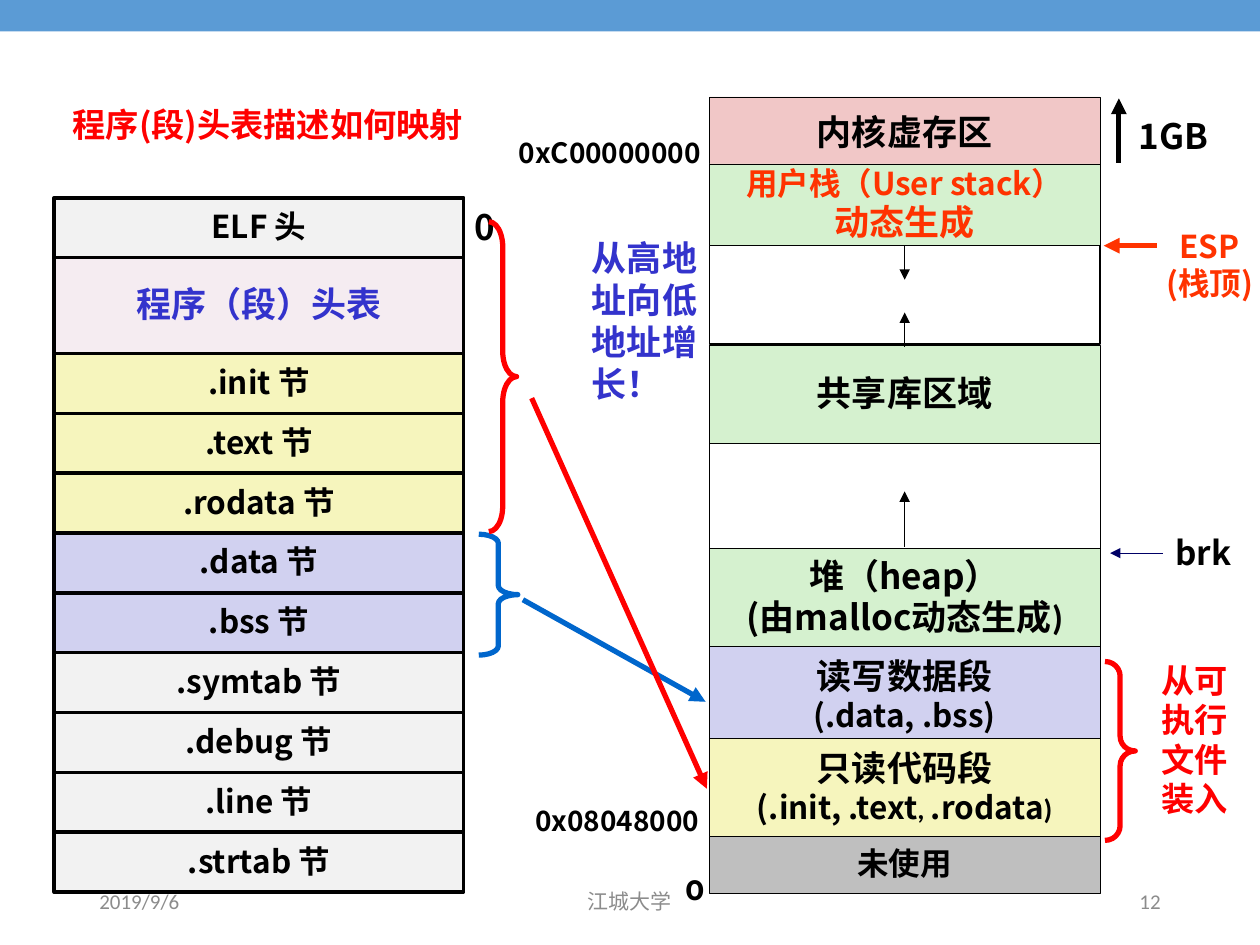
from lxml import etree
from pptx import Presentation
from pptx.dml.color import RGBColor
from pptx.enum.shapes import MSO_CONNECTOR, MSO_SHAPE
from pptx.enum.text import MSO_ANCHOR, PP_ALIGN
from pptx.oxml.ns import qn
from pptx.util import Inches, Pt

LEFT, CENTER, RIGHT = PP_ALIGN.LEFT, PP_ALIGN.CENTER, PP_ALIGN.RIGHT
TOP, MIDDLE = MSO_ANCHOR.TOP, MSO_ANCHOR.MIDDLE
RECTANGLE, BRACE = MSO_SHAPE.RECTANGLE, MSO_SHAPE.RIGHT_BRACE

BLACK = RGBColor(0x00, 0x00, 0x00)
WHITE = RGBColor(0xFF, 0xFF, 0xFF)
RED = RGBColor(0xFF, 0x00, 0x00)
ORANGE = RGBColor(0xFF, 0x33, 0x00)
INDIGO = RGBColor(0x33, 0x33, 0xCC)
BLUE = RGBColor(0x00, 0x66, 0xCC)
NAVY = RGBColor(0x00, 0x00, 0x66)
BANNER = RGBColor(0x5B, 0x9B, 0xD5)
GRAY = RGBColor(0x8C, 0x8C, 0x8C)
SILVER = RGBColor(0xBF, 0xBF, 0xBF)
PALE = RGBColor(0xF2, 0xF2, 0xF2)
PLUM = RGBColor(0x99, 0x33, 0x66)
PINK = RGBColor(0xF1, 0xC7, 0xC7)
GREEN = RGBColor(0xD5, 0xF1, 0xCF)
LILAC = RGBColor(0xD1, 0xD1, 0xF0)
YELLOW = RGBColor(0xF6, 0xF5, 0xBD)

NOTO, CALIBRI, MONTSERRAT = "Noto Sans CJK SC", "Calibri", "Montserrat"
HAIR = 0.26

# A line of text is (runs, size, font, colour); runs is a string
# or a list of (text, size, font).
# ELF file: text, rows, fill, size, colour
SECTIONS = [
    ("ELF 头", 1, PALE, 18, BLACK),
    ("程序（段）头表", 1.6, PLUM, 20, INDIGO),
    (".init 节", 1, YELLOW, 18, BLACK),
    (".text 节", 1, YELLOW, 18, BLACK),
    (".rodata 节", 1, YELLOW, 18, BLACK),
    (".data 节", 1, LILAC, 18, BLACK),
    (".bss 节", 1, LILAC, 18, BLACK),
    (".symtab 节", 1, PALE, 18, BLACK),
    (".debug 节", 1, PALE, 18, BLACK),
    (".line 节", 1, PALE, 18, BLACK),
    (".strtab 节", 1, PALE, 18, BLACK),
]
FILE_LEFT, FILE_TOP, FILE_WIDTH, ROW = 0.43, 1.57, 3.25, 0.475

# Memory areas: top, height, fill, line width, lines of text
MEMORY_LEFT, MEMORY_WIDTH = 5.63, 3.1
READ_ONLY = [("(.init, .text", 18, NOTO), (", ", 16, CALIBRI),
             (".rodata", 18, NOTO), (")", 16, CALIBRI)]
HEAP = [("(由malloc动态生成", 20, NOTO), (")", 20, CALIBRI)]
AREAS = [
    (0.77, 0.57, PINK, HAIR, [("内核虚存区", 20, NOTO, BLACK)]),
    (1.94, 0.79, WHITE, 0.75, []),
    (1.30, 0.65, GREEN, HAIR, [("用户栈（User stack）", 18, NOTO, ORANGE),
                               ("动态生成", 20, CALIBRI, ORANGE)]),
    (2.74, 0.78, GREEN, HAIR, [("共享库区域", 20, NOTO, BLACK)]),
    (3.52, 0.84, WHITE, HAIR, []),
    (4.35, 0.78, GREEN, HAIR, [("堆（heap）", 20, NOTO, BLACK),
                               (HEAP, 20, NOTO, BLACK)]),
    (6.63, 0.46, SILVER, HAIR, [("未使用", 18, NOTO, BLACK)]),
    (5.13, 0.78, LILAC, HAIR, [("读写数据段", 20, NOTO, BLACK),
                               ("(.data, .bss)", 18, NOTO, BLACK)]),
    (5.86, 0.78, YELLOW, HAIR, [("只读代码段", 20, NOTO, BLACK),
                                (READ_ONLY, 18, NOTO, BLACK)]),
]

# Footer: left, width, text, alignment
FOOTER = [
    (0.69, 2.25, "2019/9/6", LEFT),
    (3.31, 3.38, "江城大学", CENTER),
    (7.06, 2.25, "12", RIGHT),
]

# Labels: box, lines, line spacing, wrap, alignment, side inset
LABELS = [
    ((3.67, 1.60, 0.35, 0.43), [("0", 20, NOTO, BLACK)], 0.98, True, LEFT, 0.1),
    ((9.20, 1.77, 0.80, 0.68), [("ESP", 18, NOTO, ORANGE),
                                ("(栈顶)", 18, NOTO, ORANGE)], 0.98, True, CENTER, 0),
    ((9.23, 4.20, 0.64, 0.40), [("brk", 19, NOTO, BLACK)], 0.94, False, LEFT, 0.1),
    ((4.02, 1.05, 1.71, 0.35), [("0xC00000000", 16, NOTO, BLACK)], 0.94, False, LEFT, 0.1),
    ((4.15, 6.35, 1.56, 0.35), [("0x08048000", 16, NOTO, BLACK)], 0.94, False, LEFT, 0.1),
    ((5.34, 6.89, 0.35, 0.36), [("0", 16, MONTSERRAT, BLACK)], 0.98, False, LEFT, 0.1),
    ((9.12, 5.21, 0.82, 1.34), [("从可执行文件装入", 19, CALIBRI, RED)], 0.98, True, LEFT, 0.1),
    ((0.48, 0.78, 3.57, 0.42), [("程序(段)头表描述如何映射", 19, NOTO, RED)], 1, True, LEFT, 0.1),
    ((8.94, 0.86, 0.92, 0.43), [("1GB", 20, NOTO, BLACK)], 1, True, LEFT, 0.1),
    ((4.60, 1.83, 1.06, 1.45), [("从高地址向低地址增长！", 20, NOTO, INDIGO)], 1, True, LEFT, 0.1),
]

# Arrows: from, to, colour, width
ARROWS = [
    ((9.18, 1.95), (8.76, 1.95), ORANGE, 3),
    ((8.88, 1.29), (8.88, 0.78), BLACK, 3),
    ((9.23, 4.39), (8.81, 4.39), NAVY, HAIR),
    ((7.18, 4.34), (7.18, 3.90), BLACK, HAIR),
    ((7.18, 2.75), (7.18, 2.48), BLACK, HAIR),
    ((7.18, 1.95), (7.18, 2.22), BLACK, HAIR),
    ((4.15, 4.76), (5.60, 5.57), BLUE, 3),
    ((4.22, 3.16), (5.61, 6.26), RED, 3),
]

# Braces: box, curvature, colour
BRACES = [
    ((8.77, 5.25, 0.24, 1.42), 0.486, RED),
    ((3.80, 4.24, 0.31, 0.96), 0.234, BLUE),
    ((3.88, 1.76, 0.22, 2.46), 0.915, RED),
]

presentation = Presentation()
presentation.slide_width, presentation.slide_height = Inches(10), Inches(7.5)
slide = presentation.slides.add_slide(presentation.slide_layouts[6])


def set_font(font, size, name):
    font.size, font.name = Pt(size), name


def write(shape, lines, spacing=0.98, wrap=False, align=CENTER,
          anchor=MIDDLE, inset=0.1, bold=True):
    frame = shape.text_frame
    frame.word_wrap, frame.vertical_anchor = wrap, anchor
    frame.margin_left = frame.margin_right = Inches(inset)
    for index, (runs, size, name, color) in enumerate(lines):
        paragraph = frame.add_paragraph() if index else frame.paragraphs[0]
        paragraph.alignment, paragraph.line_spacing = align, spacing
        set_font(paragraph.font, size, name)
        paragraph.font.bold = bold
        paragraph.font.color.rgb = color
        defaults = paragraph._p.pPr.find(qn("a:defRPr"))
        etree.SubElement(defaults, qn("a:ea")).set("typeface", CALIBRI)
        if isinstance(runs, str):
            paragraph.add_run().text = runs
            continue
        for text, run_size, run_name in runs:
            run = paragraph.add_run()
            run.text = text
            set_font(run.font, run_size, run_name)


def add_shape(kind, box, fill=None, line=None, width=1):
    shape = slide.shapes.add_shape(kind, *map(Inches, box))
    shape.shadow.inherit = False
    if fill is None:
        shape.fill.background()
    else:
        shape.fill.solid()
        shape.fill.fore_color.rgb = fill
    if line is None:
        shape.line.fill.background()
    else:
        shape.line.color.rgb, shape.line.width = line, Pt(width)
    return shape


def add_text(box, lines, **options):
    write(slide.shapes.add_textbox(*map(Inches, box)), lines, **options)


def add_arrow(start, end, color, width):
    arrow = slide.shapes.add_connector(
        MSO_CONNECTOR.STRAIGHT, *map(Inches, start + end))
    arrow.line.color.rgb, arrow.line.width = color, Pt(width)
    etree.SubElement(arrow.line._get_or_add_ln(), qn("a:tailEnd")).set("type", "triangle")
    etree.SubElement(arrow._element.spPr, qn("a:effectLst"))


# Banner and footer
add_shape(RECTANGLE, (0, 0, 10, 0.25), BANNER)
for left, width, text, align in FOOTER:
    add_text((left, 6.95, width, 0.4), [(text, 12, CALIBRI, GRAY)],
             spacing=1, wrap=True, align=align, bold=False)

# Memory areas
for top, height, fill, width, lines in AREAS:
    area = add_shape(RECTANGLE, (MEMORY_LEFT, top, MEMORY_WIDTH, height), fill, BLACK, width)
    write(area, lines)

# File sections, stacked downwards
top = FILE_TOP
for text, rows, fill, size, color in SECTIONS:
    section = add_shape(RECTANGLE, (FILE_LEFT, top, FILE_WIDTH, rows * ROW), fill, BLACK, 2)
    write(section, [(text, size, NOTO, color)])
    if fill == PLUM:
        tint = section._element.spPr.find(qn("a:solidFill"))[0]
        etree.SubElement(tint, qn("a:alpha")).set("val", "9000")
    top += rows * ROW

# Labels, arrows and braces
for box, lines, spacing, wrap, align, inset in LABELS:
    add_text(box, lines, spacing=spacing, wrap=wrap, align=align, anchor=TOP, inset=inset)
for arrow in ARROWS:
    add_arrow(*arrow)
for box, curvature, color in BRACES:
    brace = add_shape(BRACE, box, line=color, width=3)
    brace.adjustments[0], brace.adjustments[1] = curvature, 0.5

presentation.save("out.pptx")
